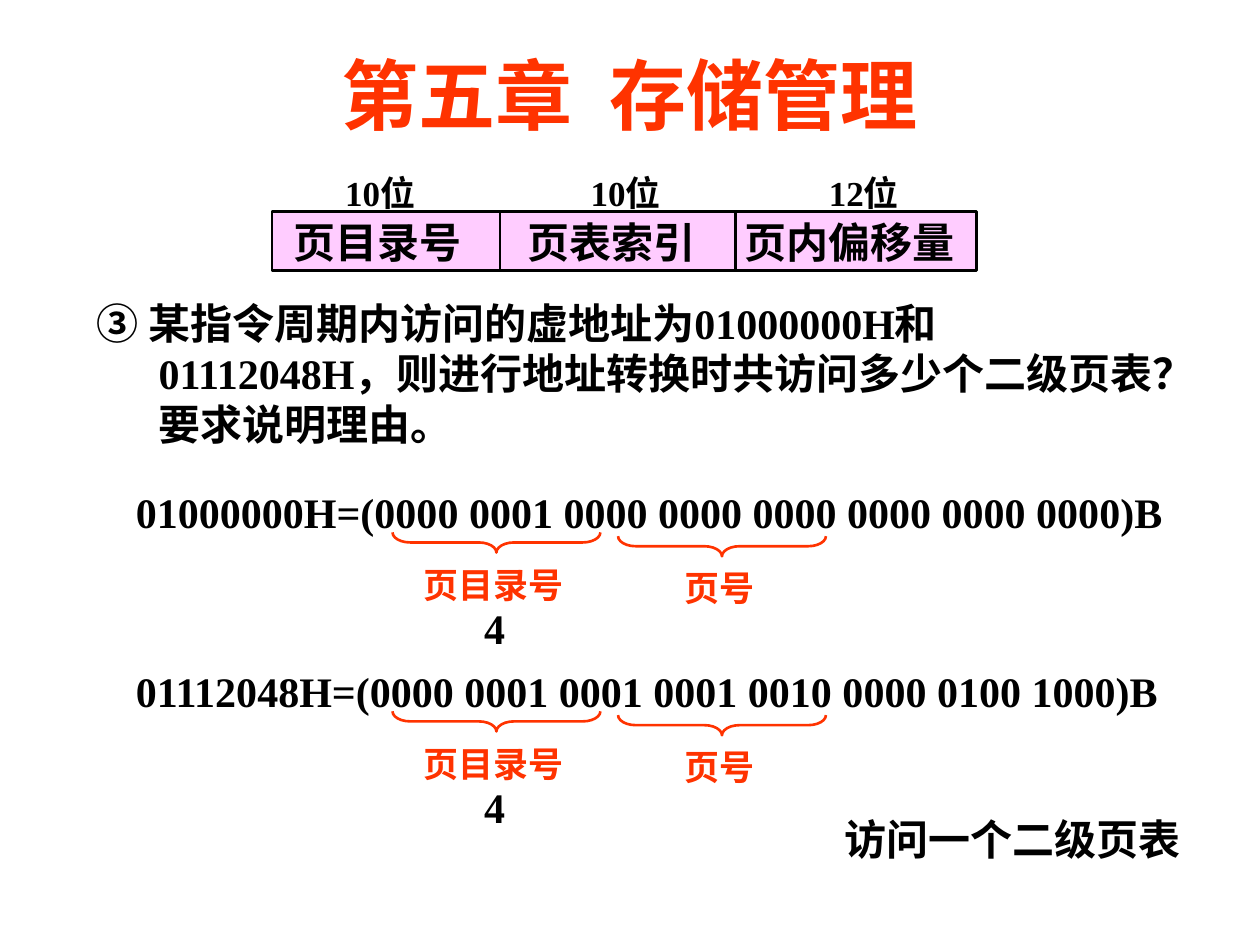
from lxml.etree import SubElement
from pptx import Presentation
from pptx.dml.color import RGBColor
from pptx.enum.shapes import MSO_CONNECTOR as CONN, MSO_SHAPE as SHAPE
from pptx.enum.text import MSO_ANCHOR as ANCHOR, MSO_AUTO_SIZE as FIT, PP_ALIGN as ALIGN
from pptx.oxml.ns import qn
from pptx.util import Inches, Pt

rgb = RGBColor.from_string
LATIN, CJK = "Times New Roman", "Noto Sans CJK SC"
BLACK, RED, PINK = "000000", "FF3300", "FFCCFF"

prs = Presentation()
prs.slide_width, prs.slide_height = Inches(10), Inches(7.5)
COL, ROW = prs.slide_width / 100, prs.slide_height / 75
s = prs.slides.add_slide(prs.slide_layouts[5])


def grid(x, y, w, h):
    return int(x * COL), int(y * ROW), int(w * COL), int(h * ROW)


def write(sp, runs, size, color=BLACK, align=ALIGN.LEFT, tabs=(), anchor=ANCHOR.TOP):
    tf = sp.text_frame
    tf.word_wrap, tf.auto_size, tf.vertical_anchor = True, FIT.NONE, anchor
    p = tf.paragraphs[0]
    p.alignment = align
    if tabs:
        stops = SubElement(p._p.get_or_add_pPr(), qn("a:tabLst"))
        for col in tabs:
            SubElement(stops, qn("a:tab"), pos=str(int(col * COL)), algn="l")
    for text, font in runs:
        r = p.add_run()
        r.text = text
        r.font.size, r.font.bold, r.font.name = Pt(size), True, font
        r.font.color.rgb = rgb(color)
        SubElement(r._r.get_or_add_rPr(), qn("a:ea"), typeface=CJK)
    return p


title = s.shapes.title
title.left, title.top, title.width, title.height = grid(7.5, 2.8, 85, 9.2)
p = write(title, [("第五章", LATIN), (" ", LATIN), ("存储管理", LATIN)], 44, RED,
          ALIGN.CENTER, anchor=ANCHOR.MIDDLE)
p.runs[1].font._element.set("spc", "1100")

address = s.shapes.add_shape(SHAPE.RECTANGLE, *grid(21.6, 16.8, 55.9, 4.7))
address.shadow.inherit = False
address.fill.solid()
address.fill.fore_color.rgb = rgb(PINK)
address.line.color.rgb = rgb(BLACK)
address.line.width = Pt(1.5)
address.text_frame.margin_left = int(1.7 * COL)
address.text_frame.margin_right = 0
write(address, [("页目录号\t页表索引\t页内偏移量", LATIN)], 24,
      tabs=(18.6, 35.8), anchor=ANCHOR.MIDDLE)

for col in (39.7, 58.4):
    x, top, _, height = grid(col, 16.8, 0, 4.8)
    divider = s.shapes.add_connector(CONN.STRAIGHT, x, top, x, top + height)
    divider.line.color.rgb = rgb(BLACK)
    divider.line.width = Pt(1.5)
    SubElement(divider._element.spPr, qn("a:effectLst"))

bits = s.shapes.add_textbox(*grid(26.4, 13.1, 47.3, 4.3))
write(bits, [("10位\t10位\t12位", LATIN)], 20, tabs=(19.5, 38.4))

question = s.shapes.add_textbox(*grid(6.7, 23.1, 86.6, 13))
p = write(question, [
    ("③ ", CJK),
    ("某指令周期内访问的虚地址为01000000H和01112048H，"
     "则进行地址转换时共访问多少个二级页表？要求说明理由。", LATIN),
], 24)
hang = int(4.9 * COL)
p._p.get_or_add_pPr().set("marL", str(hang))
p._p.get_or_add_pPr().set("indent", str(-hang))

conversions = (
    "01000000H=(0000 0001 0000 0000 0000 0000 0000 0000)B",
    "01112048H=(0000 0001 0001 0001 0010 0000 0100 1000)B",
)
for i, conversion in enumerate(conversions):
    y = 38.1 + 14.2 * i
    write(s.shapes.add_textbox(*grid(9.8, y, 85.1, 5)), [(conversion, LATIN)], 24)
    for x, drop, label in ((32.1, 0, "页目录号"), (50, 0.3, "页号")):
        brace = s.shapes.add_shape(SHAPE.LEFT_BRACE, *grid(x + 6.5, y - 3.3 + drop, 1.6, 16.5))
        brace.rotation = 270
        brace.adjustments[0] = 0.88
        brace.shadow.inherit = False
        brace.fill.background()
        brace.line.color.rgb = rgb(RED)
        brace.line.width = Pt(1.5)
        write(s.shapes.add_textbox(*grid(x, y + 6.1 + drop, 14.2, 4.3)),
              [(label, LATIN)], 20, RED, ALIGN.CENTER)
    write(s.shapes.add_textbox(*grid(35.7, y + 9.2, 7.1, 5)),
          [("4", LATIN)], 24, align=ALIGN.CENTER)

answer = s.shapes.add_textbox(*grid(64.2, 64.1, 32.3, 5))
write(answer, [("访问一个二级页表", LATIN)], 24, align=ALIGN.CENTER)

prs.save("out.pptx")
